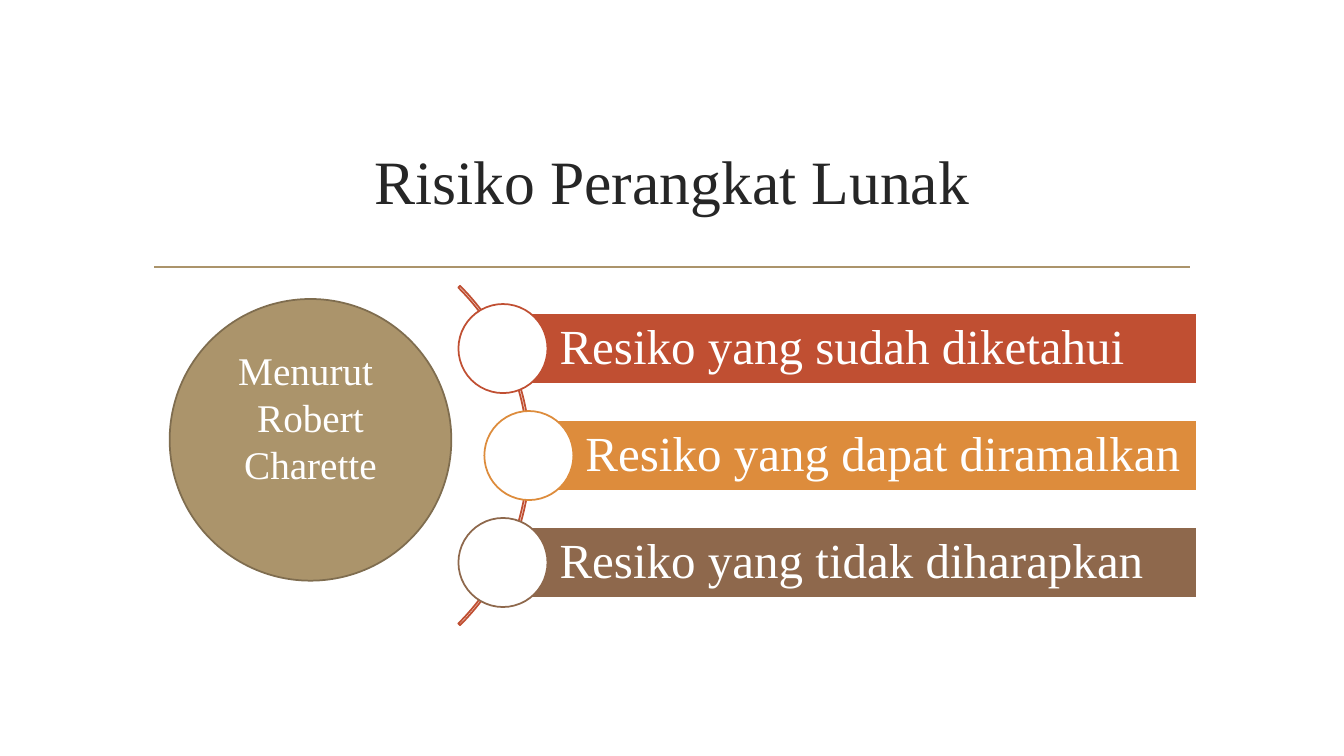
from lxml import etree
from pptx import Presentation
from pptx.dml.color import RGBColor
from pptx.enum.shapes import MSO_CONNECTOR, MSO_SHAPE
from pptx.enum.text import MSO_ANCHOR, PP_ALIGN
from pptx.oxml.ns import qn
from pptx.util import Pt

RECT, OVAL, ARC = MSO_SHAPE.RECTANGLE, MSO_SHAPE.OVAL, MSO_SHAPE.BLOCK_ARC
LEFT, CENTER, MIDDLE = PP_ALIGN.LEFT, PP_ALIGN.CENTER, MSO_ANCHOR.MIDDLE

# Content
TITLE = "Risiko Perangkat Lunak"
SOURCE = ["Menurut ", "Robert Charette"]
RISKS = [  # text, colour, left edge of bar
    ("Resiko yang sudah diketahui", "C04F32", 359.3),
    ("Resiko yang dapat diramalkan", "DD8C3C", 377.8),
    ("Resiko yang tidak diharapkan", "8E684C", 359.3),
]

# Layout, in points
FONT = "Times New Roman"
WHITE, DARK, TAN, TAN_DARK, RUST = "FFFFFF", "262626", "AB946B", "7F6D4F", "C04F32"
MID_Y, ROW_PITCH = 325.4, 76.4
BAR_RIGHT, BAR_H, DOT = 855, 51.1, 63.6
ARC_X, ARC_SIZE = 207.4, 342.8
BAR_INSETS = {"margin_left": Pt(40.4), "margin_right": Pt(7.2),
              "margin_top": Pt(7.2), "margin_bottom": Pt(7.2)}


def rgb(color):
    return RGBColor.from_string(color)


def add_shape(kind, x, y, w, h, fill, line, width=1.25):
    sp = s.shapes.add_shape(kind, Pt(x), Pt(y), Pt(w), Pt(h))
    sp.shadow.inherit = False
    if fill:
        sp.fill.solid()
        sp.fill.fore_color.rgb = rgb(fill)
    else:
        sp.fill.background()
    sp.line.color.rgb = rgb(line)
    sp.line.width = Pt(width)
    return sp


def write(sp, lines, size, color, align, spacing=1.0, insets=None):
    tf = sp.text_frame
    frame = {"word_wrap": True, "vertical_anchor": MIDDLE, **(insets or {})}
    for name, value in frame.items():
        setattr(tf, name, value)
    for i, line in enumerate(lines):
        p = tf.paragraphs[0] if i == 0 else tf.add_paragraph()
        p.alignment, p.line_spacing = align, spacing
        r = p.add_run()
        r.text = line
        for name, value in {"name": FONT, "size": Pt(size)}.items():
            setattr(r.font, name, value)
        r.font.color.rgb = rgb(color)


prs = Presentation()
prs.slide_width, prs.slide_height = Pt(960), Pt(540)
s = prs.slides.add_slide(prs.slide_layouts[6])

# Title and rule
rule = s.shapes.add_connector(MSO_CONNECTOR.STRAIGHT, Pt(110.2), Pt(190.8), Pt(850.3), Pt(190.8))
rule.line.color.rgb = rgb(TAN)
rule.line.width = Pt(1.25)
etree.SubElement(rule._element.spPr, qn("a:effectLst"))
title = s.shapes.add_textbox(Pt(102.2), Pt(77), Pt(756), Pt(103))
write(title, [TITLE], 44, DARK, CENTER)

# Arc behind the list
arc = add_shape(ARC, ARC_X - ARC_SIZE / 2, MID_Y - ARC_SIZE / 2, ARC_SIZE, ARC_SIZE, None, RUST)
for i, value in enumerate((189, 27, 0.005)):
    arc.adjustments[i] = value

# Risk bars, each with a dot centred on its left edge
for i, (text, color, left) in enumerate(RISKS):
    y = MID_Y + (i - 1) * ROW_PITCH
    bar = add_shape(RECT, left, y - BAR_H / 2, BAR_RIGHT - left, BAR_H, color, WHITE, 2)
    write(bar, [text], 35, WHITE, LEFT, 0.9, BAR_INSETS)
    add_shape(OVAL, left - DOT / 2, y - DOT / 2, DOT, DOT, WHITE, color)

# Source circle, text raised by its bottom inset
circle = add_shape(OVAL, 121.2, 213.6, 201.2, 201.2, TAN, TAN_DARK)
write(circle, SOURCE, 28, WHITE, CENTER, insets={"margin_bottom": Pt(36)})

prs.save("out.pptx")
